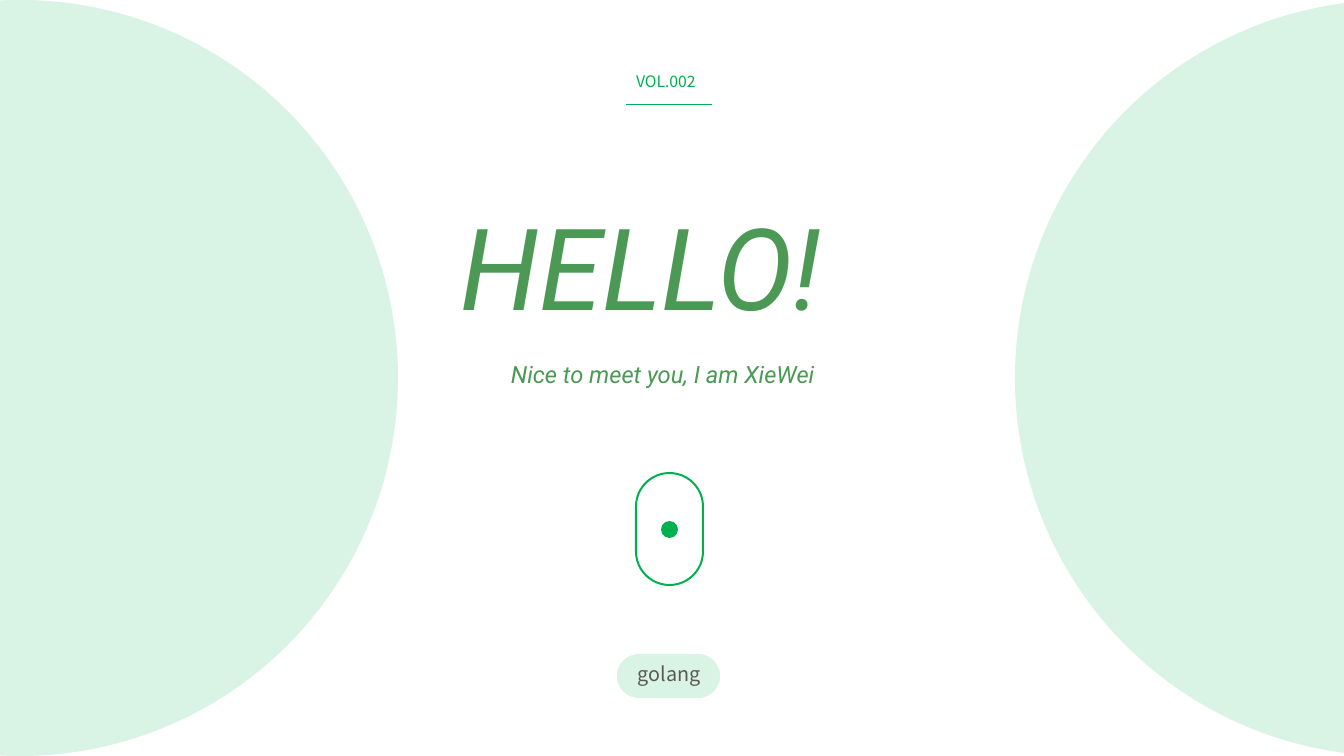
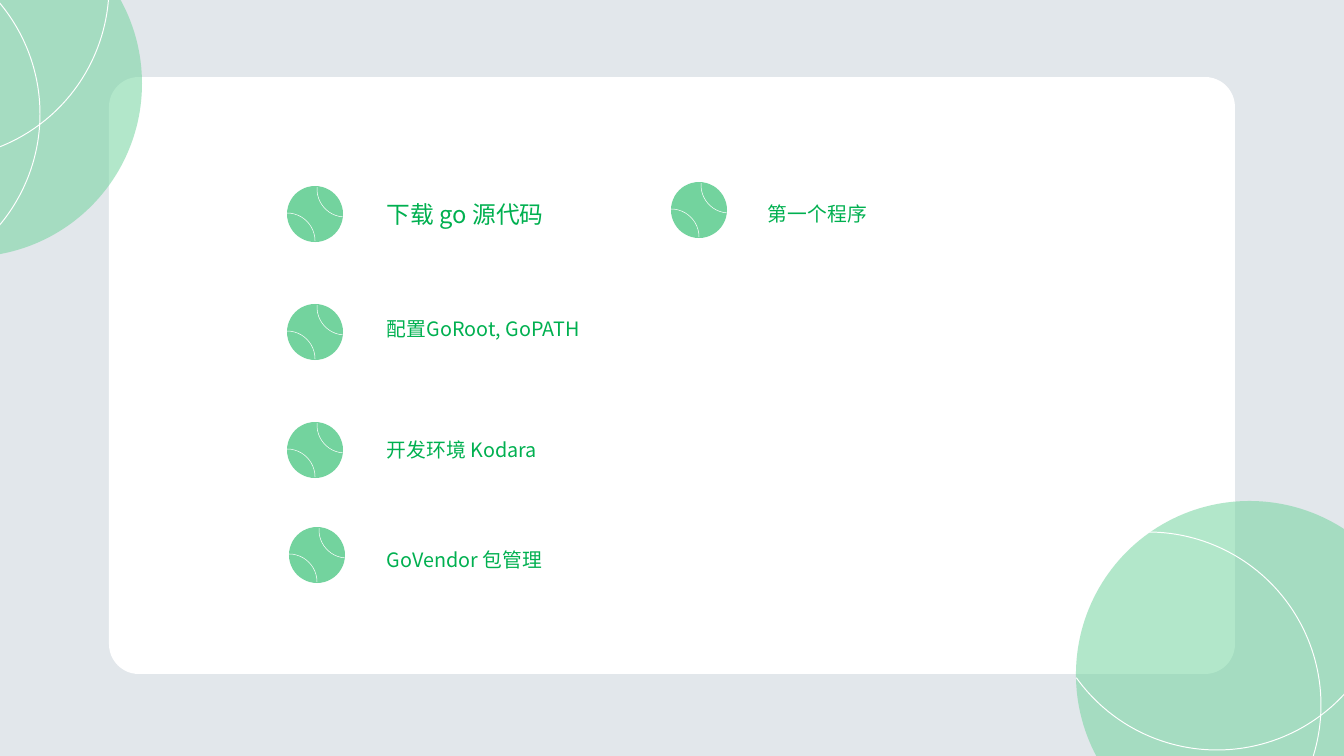
import pptx
import pptx.util
import pptx.dml.color
import pptx.enum.shapes
import pptx.enum.text
import pptx.oxml.ns
import lxml.etree

RGB = pptx.dml.color.RGBColor
SHAPE = pptx.enum.shapes.MSO_SHAPE
qn = pptx.oxml.ns.qn

GREEN = RGB(0x00, 0xB0, 0x50)
LEAF = RGB(0x4C, 0x99, 0x55)
MINT = RGB(0x73, 0xD4, 0x9F)
GREY = RGB(0x59, 0x59, 0x59)
MIST = RGB(0xE2, 0xE7, 0xEB)
WHITE = RGB(0xFF, 0xFF, 0xFF)
SANS_SC = "Noto Sans CJK SC"
SANS_JP = "Noto Sans CJK JP"
ROBOTO = "Roboto"
PX = 914400 / 71.1


def add_shape(s, kind, box, fill=None, alpha=100, line=None, width=1, adj=(), rot=0):
    sp = s.shapes.add_shape(kind, *[round(v * PX) for v in box])
    sp.shadow.inherit = False
    sp.rotation = rot
    for i, value in enumerate(adj):
        sp.adjustments[i] = value
    if fill is None:
        sp.fill.background()
    else:
        sp.fill.solid()
        sp.fill.fore_color.rgb = fill
        if alpha < 100:
            clr = sp.fill._xPr.find(qn("a:solidFill"))[0]
            lxml.etree.SubElement(clr, qn("a:alpha")).set("val", str(alpha * 1000))
    if line is None:
        sp.line.fill.background()
    else:
        sp.line.color.rgb = line
        sp.line.width = pptx.util.Pt(width)


def add_text(s, box, text, size, font, color, italic=False):
    tf = s.shapes.add_textbox(*[round(v * PX) for v in box]).text_frame
    tf.word_wrap = True
    tf.auto_size = pptx.enum.text.MSO_AUTO_SIZE.SHAPE_TO_FIT_TEXT
    r = tf.paragraphs[0].add_run()
    r.text = text
    r.font.size = pptx.util.Pt(size)
    r.font.name = font
    r.font.italic = italic
    r.font.color.rgb = color
    lxml.etree.SubElement(r.font._element, qn("a:ea")).set("typeface", font)


prs = pptx.Presentation()
prs.slide_width = round(1344 * PX)
prs.slide_height = round(756 * PX)
blank = prs.slide_layouts[6]

s = prs.slides.add_slide(blank)
s.background.fill.solid()
s.background.fill.fore_color.rgb = WHITE
for x in (-358, 1015):
    add_shape(s, SHAPE.OVAL, (x, 0, 756, 756), GREEN, 15)
add_shape(s, SHAPE.ROUNDED_RECTANGLE, (617, 654, 103, 44), GREEN, 15, adj=[0.5])
add_shape(s, SHAPE.ROUNDED_RECTANGLE, (636, 473, 67, 112), line=GREEN, width=2, adj=[0.5])
add_shape(s, SHAPE.OVAL, (661, 521, 17, 17), GREEN)
rule = s.shapes.add_connector(pptx.enum.shapes.MSO_CONNECTOR.STRAIGHT,
                              *[round(v * PX) for v in (626, 104, 712, 104)])
rule.line.color.rgb = GREEN
rule.line.width = pptx.util.Pt(0.5)
lxml.etree.SubElement(rule._element.spPr, qn("a:effectLst"))
add_text(s, (629, 68, 84, 26), "VOL.002", 16, SANS_SC, GREEN)
add_text(s, (454, 193, 454, 145), "HELLO!", 115, ROBOTO, LEAF, True)
add_text(s, (504, 356, 336, 36), "Nice to meet you, I am XieWei", 24, ROBOTO, LEAF, True)
add_text(s, (631, 658, 80, 31), "golang", 20, SANS_SC, GREY)

s = prs.slides.add_slide(blank)
s.background.fill.solid()
s.background.fill.fore_color.rgb = MIST
add_shape(s, SHAPE.ROUNDED_RECTANGLE, (109, 77, 1126, 597), WHITE, adj=[0.05])

for x, y in ((1076, 501), (-205, -90)):
    add_shape(s, SHAPE.OVAL, (x, y, 347, 347), MINT, 55)
    for dx, dy, rot in ((-101, 31, 0), (-32, -97, 90)):
        add_shape(s, SHAPE.ARC, (x + dx, y + dy, 346, 346), line=WHITE,
                  adj=[162, 32.64], rot=rot)

topics = [
    (287, 186, (380, 196, 178, 36), "下载 go 源代码", 24),
    (287, 304, (380, 313, 216, 31), "配置GoRoot, GoPATH", 20),
    (287, 422, (380, 434, 166, 31), "开发环境 Kodara", 20),
    (289, 527, (380, 544, 173, 31), "GoVendor 包管理", 20),
    (671, 182, (761, 198, 114, 31), "第一个程序", 20),
]
for x, y, box, text, size in topics:
    add_shape(s, SHAPE.OVAL, (x, y, 56, 56), GREEN, 55)
    for dx, dy, rot in ((-28, 27, 0), (30, -25, 183.9)):
        add_shape(s, SHAPE.ARC, (x + dx, y + dy, 56, 56), line=WHITE, width=0.5, rot=rot)
    add_text(s, box, text, size, SANS_JP, GREEN)

prs.save("out.pptx")
